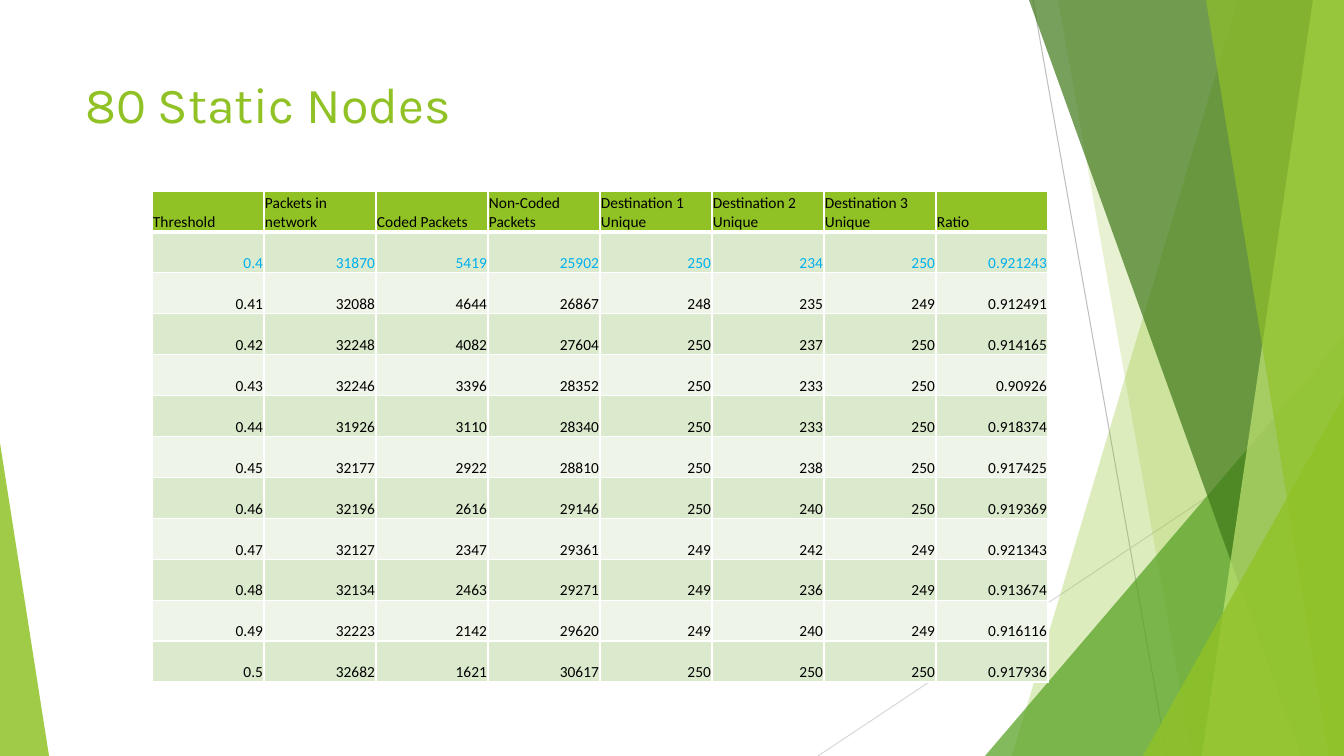
from dataclasses import dataclass

from lxml import etree
from pptx import Presentation
from pptx.dml.color import RGBColor
from pptx.enum.shapes import MSO_CONNECTOR, MSO_SHAPE
from pptx.enum.text import MSO_ANCHOR, MSO_AUTO_SIZE, PP_ALIGN
from pptx.oxml.ns import qn
from pptx.util import Pt

STRAIGHT = MSO_CONNECTOR.STRAIGHT
TRIANGLE = MSO_SHAPE.ISOSCELES_TRIANGLE
TOP, BOTTOM = MSO_ANCHOR.TOP, MSO_ANCHOR.BOTTOM
LEFT, RIGHT = PP_ALIGN.LEFT, PP_ALIGN.RIGHT
NO_AUTOFIT = MSO_AUTO_SIZE.NONE
TITLE_ONLY = 5

SLIDE_W, SLIDE_H = 1344, 756
SCALE = 12192000 / SLIDE_W


@dataclass(frozen=True)
class Theme:
    lime: str = "90C226"
    green: str = "54A021"
    forest: str = "3F7819"
    pale: str = "C0E474"
    steep_line: str = "BFBFBF"
    slant_line: str = "D9D9D9"
    odd_row: str = "DBE9CD"
    even_row: str = "EEF4E8"
    border: str = "FFFFFF"
    text: str = "000000"
    highlight: str = "00B0F0"
    title_font: str = "Karla"
    table_font: str = "Calibri"
    title_size: int = 36
    table_size: int = 11


@dataclass(frozen=True)
class Box:
    left: int
    top: int
    width: int
    height: int

    def emu(self):
        return [px(n) for n in (self.left, self.top, self.width, self.height)]


THEME = Theme()
HEADINGS = ["Threshold", "Packets in network", "Coded Packets", "Non-Coded Packets",
            "Destination 1 Unique", "Destination 2 Unique", "Destination 3 Unique", "Ratio"]
RESULTS = [
    ["0.4", "31870", "5419", "25902", "250", "234", "250", "0.921243"],
    ["0.41", "32088", "4644", "26867", "248", "235", "249", "0.912491"],
    ["0.42", "32248", "4082", "27604", "250", "237", "250", "0.914165"],
    ["0.43", "32246", "3396", "28352", "250", "233", "250", "0.90926"],
    ["0.44", "31926", "3110", "28340", "250", "233", "250", "0.918374"],
    ["0.45", "32177", "2922", "28810", "250", "238", "250", "0.917425"],
    ["0.46", "32196", "2616", "29146", "250", "240", "250", "0.919369"],
    ["0.47", "32127", "2347", "29361", "249", "242", "249", "0.921343"],
    ["0.48", "32134", "2463", "29271", "249", "236", "249", "0.913674"],
    ["0.49", "32223", "2142", "29620", "249", "240", "249", "0.916116"],
    ["0.5", "32682", "1621", "30617", "250", "250", "250", "0.917936"],
]


def px(length):
    return round(length * SCALE)


def set_all(target, values):
    for name, value in values.items():
        setattr(target, name, value)


def style_font(font, family, size, color):
    set_all(font, {"name": family, "size": Pt(size), "bold": False})
    font.color.rgb = RGBColor.from_string(color)


def paint(shape, color, opacity):
    shape.shadow.inherit = False
    shape.fill.solid()
    shape.fill.fore_color.rgb = RGBColor.from_string(color)
    shape.line.fill.background()
    tint = shape.element.spPr.find(".//" + qn("a:srgbClr"))
    etree.SubElement(tint, qn("a:alpha"), val=str(opacity * 1000))


def add_triangle(slide, box, apex, color, opacity):
    triangle = slide.shapes.add_shape(TRIANGLE, *box.emu())
    triangle.adjustments[0] = apex
    paint(triangle, color, opacity)


def add_band(slide, box, top_x, bottom_x, color, opacity):
    right, bottom = box.left + box.width, box.top + box.height
    outline = slide.shapes.build_freeform(box.left + top_x, box.top, scale=SCALE)
    outline.add_line_segments([(right, box.top), (right, bottom),
                               (box.left + bottom_x, bottom)])
    paint(outline.convert_to_shape(), color, opacity)


def add_hairline(slide, box, start, end, color):
    ends = [px(n) for x, y in (start, end) for n in (box.left + x, box.top + y)]
    hairline = slide.shapes.add_connector(STRAIGHT, *ends)
    hairline.line.width = Pt(0.75)
    hairline.line.color.rgb = RGBColor.from_string(color)
    etree.SubElement(hairline.element.spPr, qn("a:effectLst"))


def add_right_facets(slide, box):
    def corner(left, top, color, opacity):
        area = Box(box.left + left, box.top + top, box.width - left, box.height - top)
        add_triangle(slide, area, 1, color, opacity)

    add_hairline(slide, box, (215, 0), (349, box.height), THEME.steep_line)
    add_hairline(slide, box, (box.width, 406), (0, box.height), THEME.slant_line)
    add_band(slide, box, 420, 194, THEME.lime, 30)
    add_band(slide, box, 240, 374, THEME.lime, 20)
    corner(167, 336, THEME.green, 72)
    for top_x, bottom_x, color, opacity in [(211, 483, THEME.forest, 70),
                                            (495, 384, THEME.pale, 70),
                                            (388, 511, THEME.lime, 65)]:
        add_band(slide, box, top_x, bottom_x, color, opacity)
    corner(325, 396, THEME.lime, 80)


def add_title(slide, box, wording):
    title = slide.shapes.title
    title.element.getparent().append(title.element)
    set_all(title, dict(zip(("left", "top", "width", "height"), box.emu())))
    frame = title.text_frame
    frame.text = wording
    set_all(frame, {"vertical_anchor": TOP, "auto_size": NO_AUTOFIT, "word_wrap": True})
    heading = frame.paragraphs[0]
    heading.alignment = LEFT
    style_font(heading.runs[0].font, THEME.title_font, THEME.title_size, THEME.lime)


def add_borders(cell, widths):
    properties = cell._tc.get_or_add_tcPr()
    for side, width in widths.items():
        edge = etree.SubElement(properties, qn("a:ln" + side), w=str(Pt(width)))
        fill = etree.SubElement(edge, qn("a:solidFill"))
        etree.SubElement(fill, qn("a:srgbClr"), val=THEME.border)


def format_cell(cell, wording, row):
    add_borders(cell, {"L": 1, "R": 1, "T": 3 if row == 1 else 1, "B": 3 if row == 0 else 1})
    banding = THEME.odd_row if row % 2 else THEME.even_row
    cell.fill.solid()
    cell.fill.fore_color.rgb = RGBColor.from_string(THEME.lime if row == 0 else banding)
    set_all(cell, {"vertical_anchor": BOTTOM, "margin_left": px(1), "margin_right": px(1),
                   "margin_top": px(1), "margin_bottom": 0})
    cell.text = wording
    entry = cell.text_frame.paragraphs[0]
    entry.alignment = RIGHT if row else LEFT
    style_font(entry.runs[0].font, THEME.table_font, THEME.table_size,
               THEME.highlight if row == 1 else THEME.text)


def add_results(slide, box, rows):
    results = slide.shapes.add_table(len(rows), len(rows[0]), *box.emu()).table
    set_all(results, {"first_row": False, "horz_banding": False})
    for column in results.columns:
        column.width = px(box.width / len(rows[0]))
    for row, values in enumerate(rows):
        results.rows[row].height = px(box.height / len(rows))
        for column, value in enumerate(values):
            format_cell(results.cell(row, column), value, row)


def main():
    deck = Presentation()
    set_all(deck, {"slide_width": px(SLIDE_W), "slide_height": px(SLIDE_H)})
    slide = deck.slides.add_slide(deck.slide_layouts[TITLE_ONLY])
    add_right_facets(slide, Box(818, 0, 526, SLIDE_H))
    add_triangle(slide, Box(0, 443, 49, 313), 0, THEME.lime, 85)
    add_title(slide, Box(75, 68, 948, 145), "80 Static Nodes")
    add_results(slide, Box(152, 191, 896, 491), [HEADINGS] + RESULTS)
    deck.save("out.pptx")


if __name__ == "__main__":
    main()
